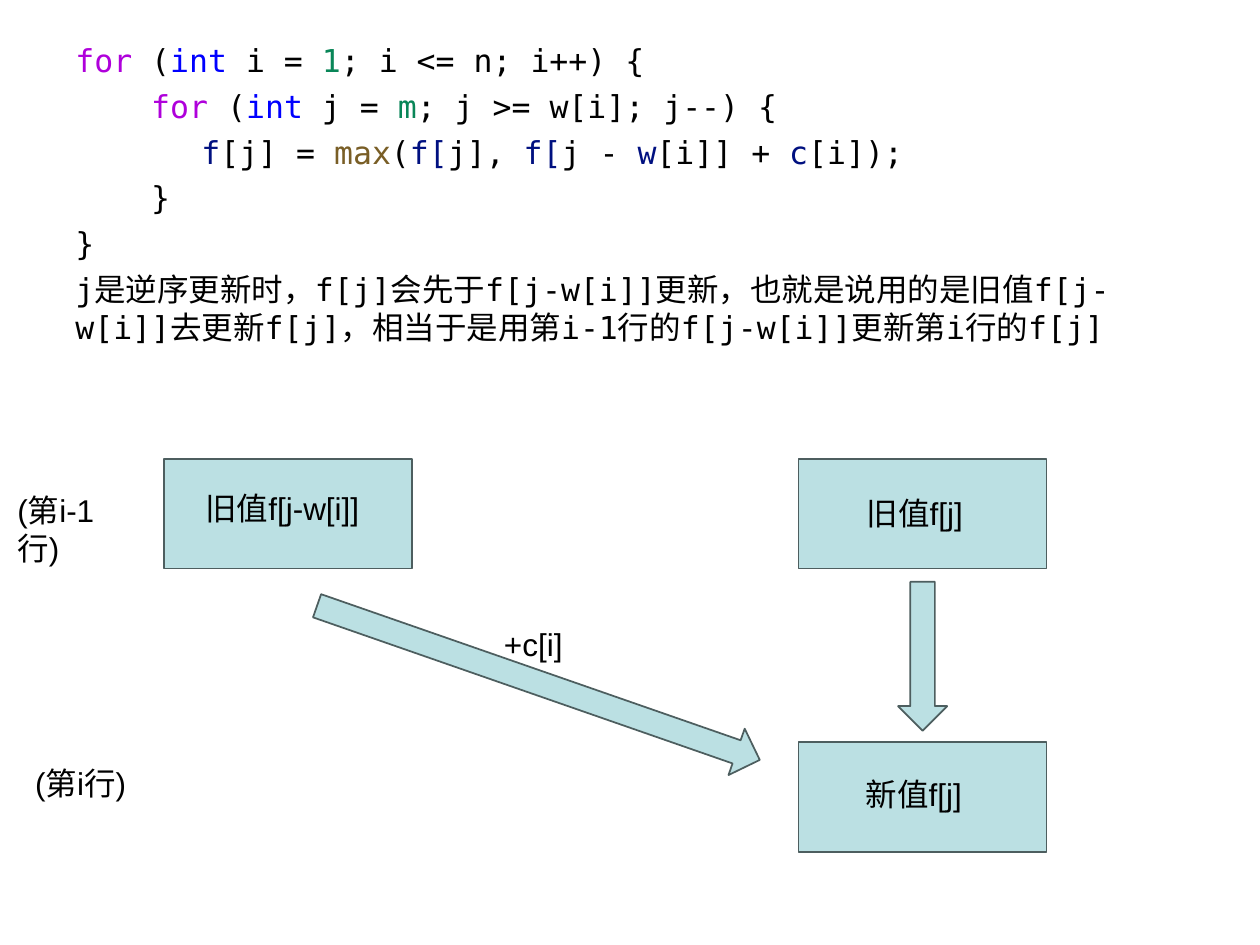
from dataclasses import dataclass

from pptx import Presentation
from pptx.dml.color import RGBColor
from pptx.enum.shapes import MSO_SHAPE as Preset
from pptx.enum.text import MSO_AUTO_SIZE as AutoSize
from pptx.util import Cm, Pt


@dataclass(frozen=True)
class Theme:
    plain: str = "000000"
    control: str = "AF00DB"
    kind: str = "0000FF"
    number: str = "098658"
    variable: str = "001080"
    function: str = "795E26"
    fill: str = "BBE0E3"
    outline: str = "4D5E5F"
    size: float = 18
    gap: float = 4.5
    code_font: str = "DejaVu Sans Mono"
    label_font: str = "Arial"


THEME = Theme()
BOX_WIDTH, BOX_HEIGHT = 5, 2.21
LEFT_BOX, RIGHT_BOX = 3.3, 16.1
OLD_ROW, NEW_ROW = 9.25, 14.96
ARROW_WIDTH = 0.99
ARROW_LEFT = RIGHT_BOX + (BOX_WIDTH - ARROW_WIDTH) / 2

CODE = [
    (0, [("for", THEME.control), (" (", THEME.plain), ("int", THEME.kind),
         (" i = ", THEME.plain), ("1", THEME.number),
         ("; i <= n; i++) {", THEME.plain)]),
    (1.53, [("for", THEME.control), (" (", THEME.plain), ("int", THEME.kind),
            (" j = ", THEME.plain), ("m", THEME.number),
            ("; j >= w[i]; j--) {", THEME.plain)]),
    (2.54, [("f", THEME.variable), ("[j] = ", THEME.plain),
            ("max", THEME.function), ("(", THEME.plain),
            ("f[", THEME.variable), ("j], ", THEME.plain),
            ("f[", THEME.variable), ("j - ", THEME.plain),
            ("w", THEME.variable), ("[i]] + ", THEME.plain),
            ("c", THEME.variable), ("[i]);", THEME.plain)]),
    (1.53, [("}", THEME.plain)]),
    (0, [("}", THEME.plain)]),
    (0, [("j是逆序更新时，f[j]会先于f[j-w[i]]更新，也就是说用的是旧值"
          "f[j-w[i]]去更新f[j]，相当于是用第i-1行的f[j-w[i]]更新第i行的f[j]",
          THEME.plain)]),
]

BOXES = [(LEFT_BOX, OLD_ROW), (RIGHT_BOX, OLD_ROW), (RIGHT_BOX, NEW_ROW)]

ARROWS = [
    ((ARROW_LEFT, 11.73, ARROW_WIDTH, 3), 0),
    ((10.36, 9.04, ARROW_WIDTH, 9.45), 289.2),
]

LABELS = [
    ("旧值f[j-w[i]]", (3.89, 9.73, 3.81, 1.02)),
    ("旧值f[j]", (17.22, 9.83, 3.61, 1.02)),
    ("新值f[j]", (17.2, 15.49, 3.33, 1.02)),
    ("+c[i]", (9.91, 12.47, 2.79, 1.02)),
    ("(第i-1行)", (0.1, 9.78, 2.74, 1.78)),
    ("(第i行)", (0.46, 15.27, 2.74, 1.78)),
]


def in_cm(values):
    return [Cm(value) for value in values]


def add_span(para, text, font, colour):
    span = para.add_run()
    span.text = text
    for name, value in {"name": font, "size": Pt(THEME.size)}.items():
        setattr(span.font, name, value)
    span.font.color.rgb = RGBColor.from_string(colour)


def add_text_frame(page, area, auto_size):
    frame = page.shapes.add_textbox(*in_cm(area)).text_frame
    for name, value in {"word_wrap": True, "auto_size": auto_size}.items():
        setattr(frame, name, value)
    return frame


def add_code(page, area, lines):
    frame = add_text_frame(page, area, AutoSize.NONE)
    for index, (indent, spans) in enumerate(lines):
        para = frame.add_paragraph() if index else frame.paragraphs[0]
        para.space_before = Pt(THEME.gap)
        if indent:
            para._p.get_or_add_pPr().set("marL", str(Cm(indent)))
        for text, colour in spans:
            add_span(para, text, THEME.code_font, colour)


def add_label(page, text, area):
    frame = add_text_frame(page, area, AutoSize.SHAPE_TO_FIT_TEXT)
    add_span(frame.paragraphs[0], text, THEME.label_font, THEME.plain)


def add_block(page, preset, area, rotation=0):
    block = page.shapes.add_shape(preset, *in_cm(area))
    block.rotation = rotation
    block.shadow.inherit = False
    block.fill.solid()
    block.fill.fore_color.rgb = RGBColor.from_string(THEME.fill)
    block.line.color.rgb = RGBColor.from_string(THEME.outline)
    block.line.width = Pt(1)


def main():
    deck = Presentation()
    deck.slide_width, deck.slide_height = Cm(25.4), Cm(19.05)
    page = deck.slides.add_slide(deck.slide_layouts[6])
    add_code(page, (1.27, 0.71, 22.86, 16.28), CODE)
    for left, top in BOXES:
        add_block(page, Preset.RECTANGLE, (left, top, BOX_WIDTH, BOX_HEIGHT))
    for area, rotation in ARROWS:
        add_block(page, Preset.DOWN_ARROW, area, rotation)
    for text, area in LABELS:
        add_label(page, text, area)
    deck.save("out.pptx")


if __name__ == "__main__":
    main()
